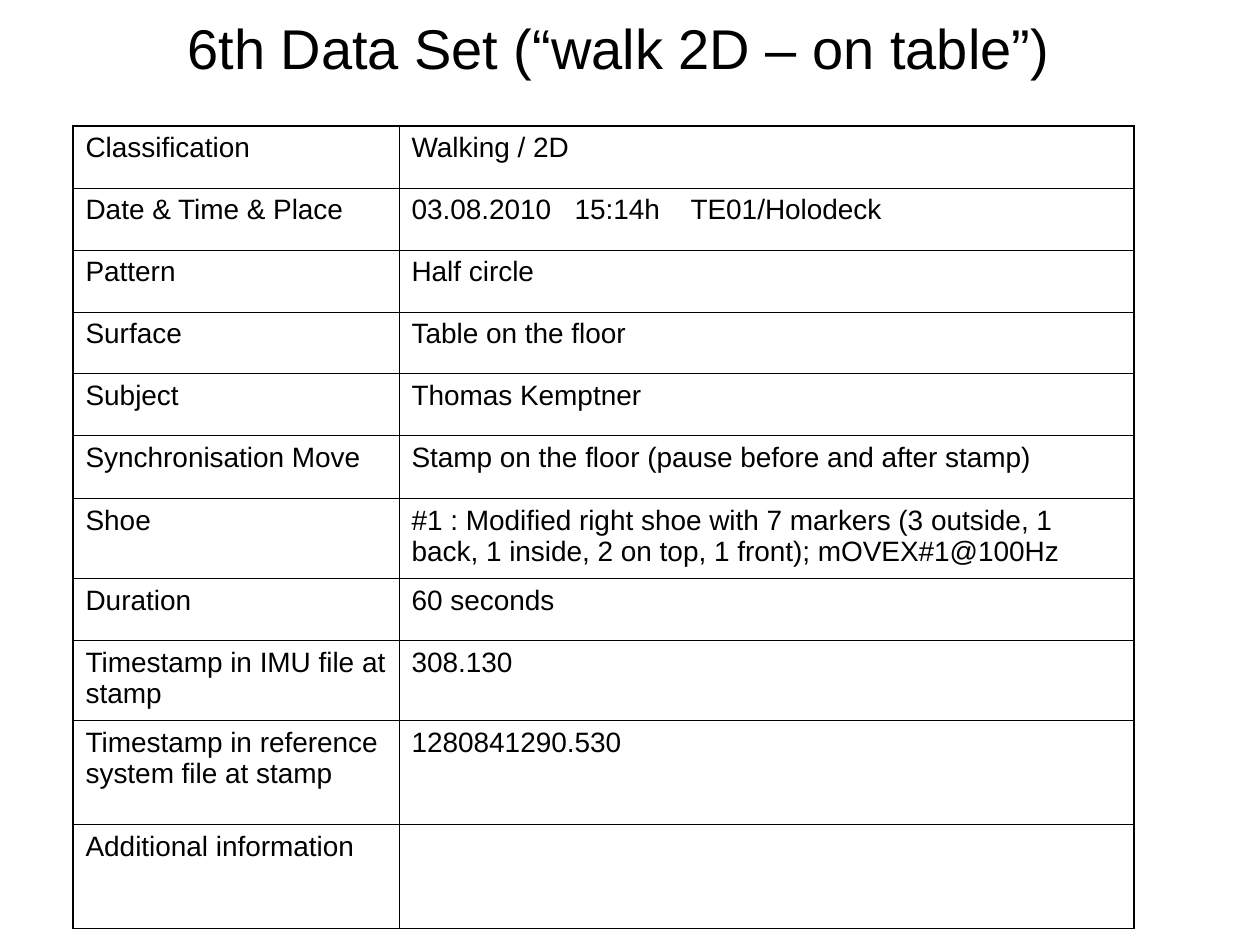
from dataclasses import dataclass
from pptx import Presentation
from pptx import util as u
from pptx.dml.color import RGBColor
from pptx.enum import text
from pptx.oxml import ns
from lxml import etree


@dataclass(frozen=True)
class Theme:
    font: str = "Arial"
    ink: str = "000000"
    title: int = 32
    body: int = 16
    thin: float = 0.45
    thick: float = 1.08


THEME = Theme()
PX_PER_INCH = 126
TITLE_ONLY = 5

ROWS = [
    ("Classification", "Walking / 2D", 62),
    ("Date & Time & Place", "03.08.2010\t15:14h\tTE01/Holodeck", 62),
    ("Pattern", "Half circle", 62),
    ("Surface", "Table on the floor", 62),
    ("Subject", "Thomas Kemptner", 62),
    ("Synchronisation Move", "Stamp on the floor (pause before and after stamp)", 63),
    ("Shoe", "#1 : Modified right shoe with 7 markers (3 outside, 1 back, "
             "1 inside, 2 on top, 1 front); mOVEX#1@100Hz", 80),
    ("Duration", "60 seconds", 62),
    ("Timestamp in IMU file at stamp", "308.130", 80),
    ("Timestamp in reference system file at stamp", "1280841290.530", 104),
    ("Additional information", "", 104),
]


def px(n):
    return u.Emu(round(n * u.Inches(1) / PX_PER_INCH))


def sub(parent, tag, **attrs):
    return etree.SubElement(parent, ns.qn(tag), **attrs)


def write(tf, content, *, size, align=text.PP_ALIGN.LEFT, tabs=()):
    tf.word_wrap = True
    p = tf.paragraphs[0]
    p.alignment = align
    if tabs:
        tab_list = sub(p._p.get_or_add_pPr(), "a:tabLst")
        for stop in tabs:
            sub(tab_list, "a:tab", pos=str(px(stop)), algn="l")
    r = p.add_run()
    r.text = content
    r.font.name = THEME.font
    r.font.size = u.Pt(size)
    r.font.bold = False
    r.font.color.rgb = RGBColor.from_string(THEME.ink)


def set_borders(cell, **widths):
    tc_pr = cell._tc.get_or_add_tcPr()
    for side in "LRTB":
        ln = sub(tc_pr, f"a:ln{side}", w=str(u.Pt(widths[side])))
        sub(sub(ln, "a:solidFill"), "a:srgbClr", val=THEME.ink)


def add_title(s, content, x, y, w, h):
    sp = s.shapes.title
    sp.left, sp.top, sp.width, sp.height = px(x), px(y), px(w), px(h)
    tf = sp.text_frame
    tf.vertical_anchor = text.MSO_ANCHOR.MIDDLE
    tf.auto_size = text.MSO_AUTO_SIZE.NONE
    write(tf, content, size=THEME.title, align=text.PP_ALIGN.CENTER)


def add_details(s, rows, x, y, w, label_w):
    heights = [row[2] for row in rows]
    table = s.shapes.add_table(len(rows), 2, px(x), px(y), px(w), px(sum(heights))).table
    table.first_row = table.horz_banding = False
    for column, width in zip(table.columns, (label_w, w - label_w)):
        column.width = px(width)
    last = len(rows) - 1
    for i, (label, value, height) in enumerate(rows):
        table.rows[i].height = px(height)
        top = THEME.thick if i in (0, last) else THEME.thin
        bottom = THEME.thick if i >= last - 1 else THEME.thin
        for j, content in enumerate((label, value)):
            cell = table.cell(i, j)
            left, right = (THEME.thin, THEME.thick) if j else (THEME.thick, THEME.thin)
            set_borders(cell, L=left, R=right, T=top, B=bottom)
            cell.fill.background()
            if content:
                tabs = (163, 279) if "\t" in content else ()
                write(cell.text_frame, content, size=THEME.body, tabs=tabs)


def main():
    prs = Presentation()
    prs.slide_width, prs.slide_height = px(1260), px(945)
    s = prs.slides.add_slide(prs.slide_layouts[TITLE_ONLY])
    add_title(s, "6th Data Set (“walk 2D – on table”)", x=31, y=0, w=1176, h=95)
    add_details(s, ROWS, x=73, y=126, w=1061, label_w=326)
    prs.save("out.pptx")


if __name__ == "__main__":
    main()
